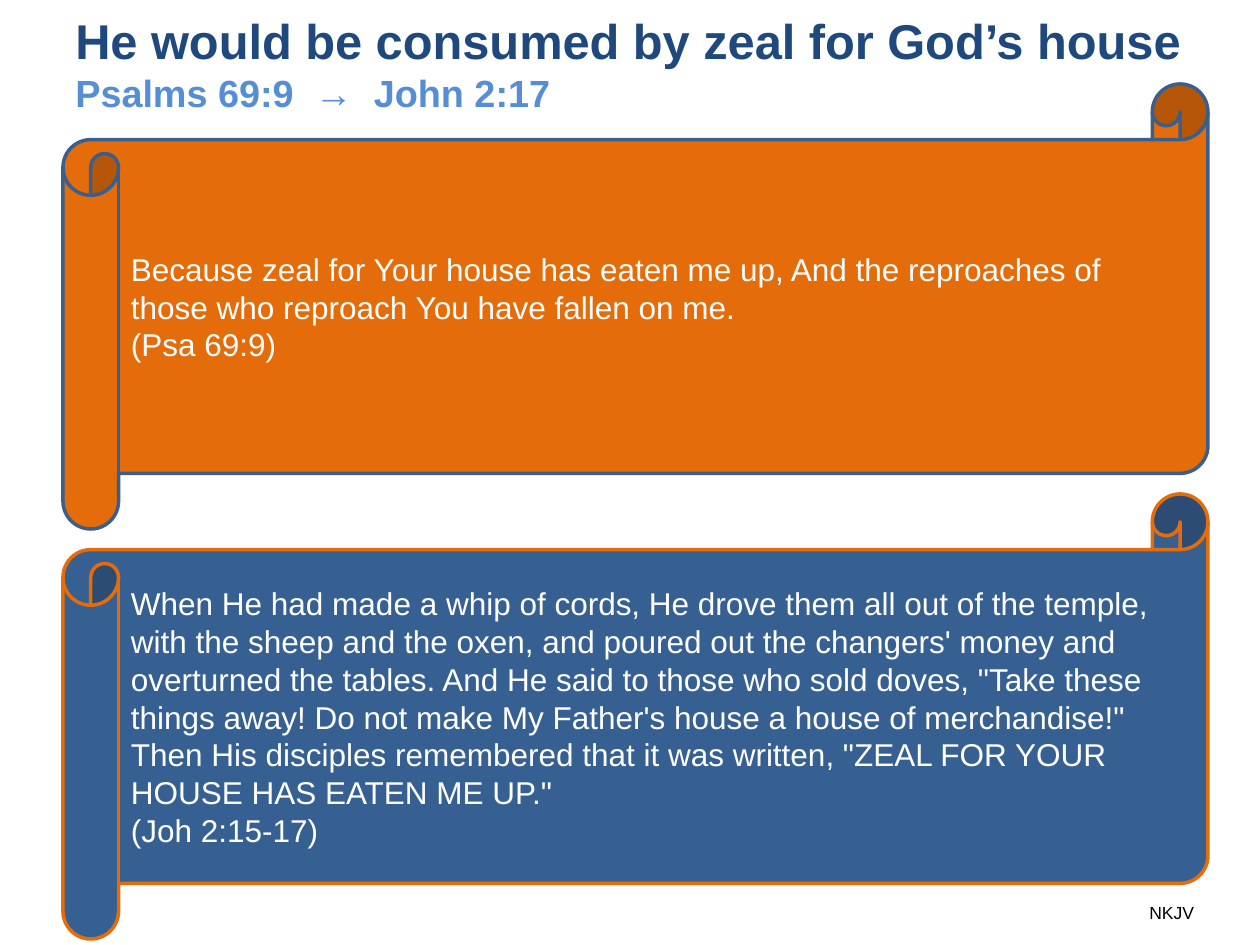
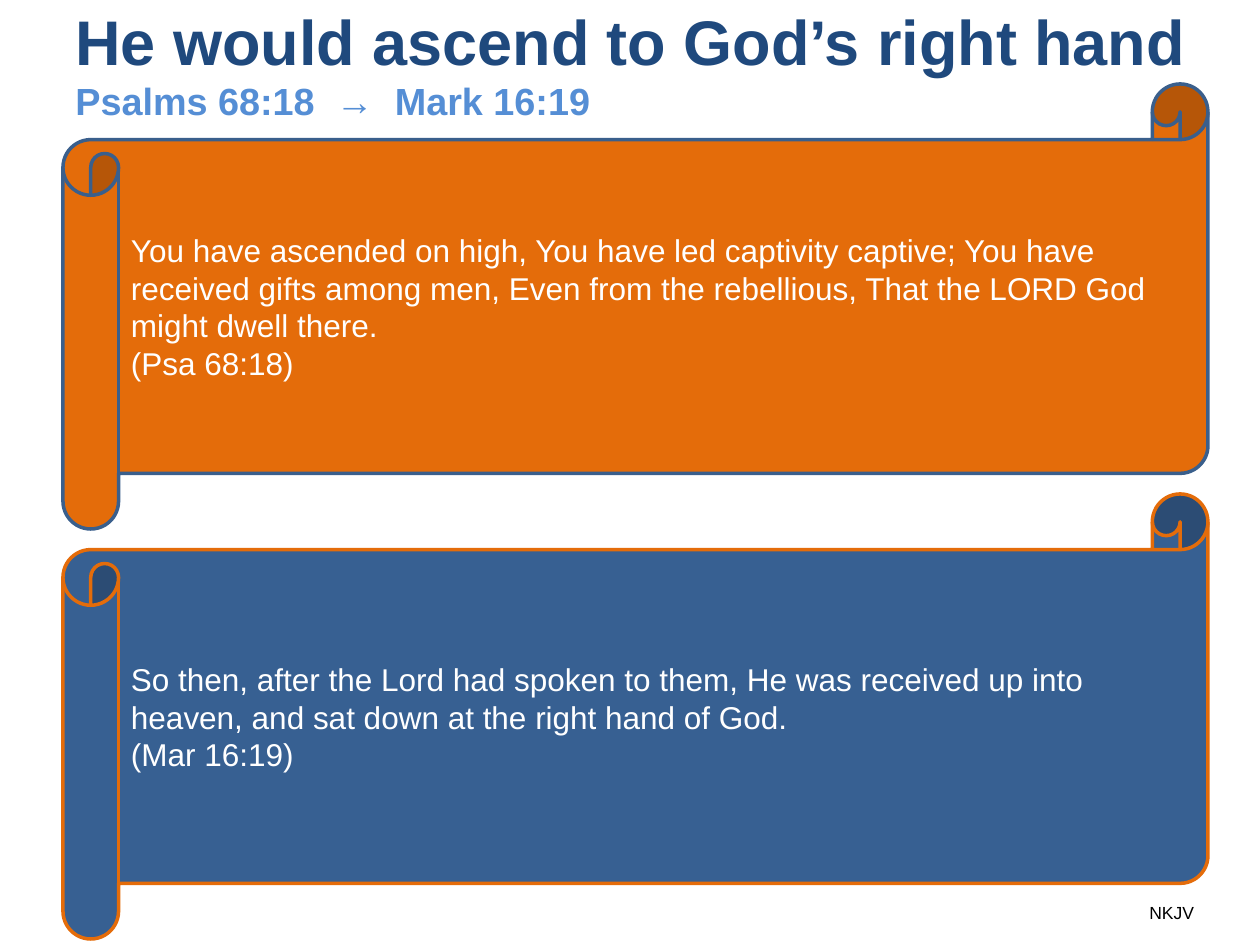
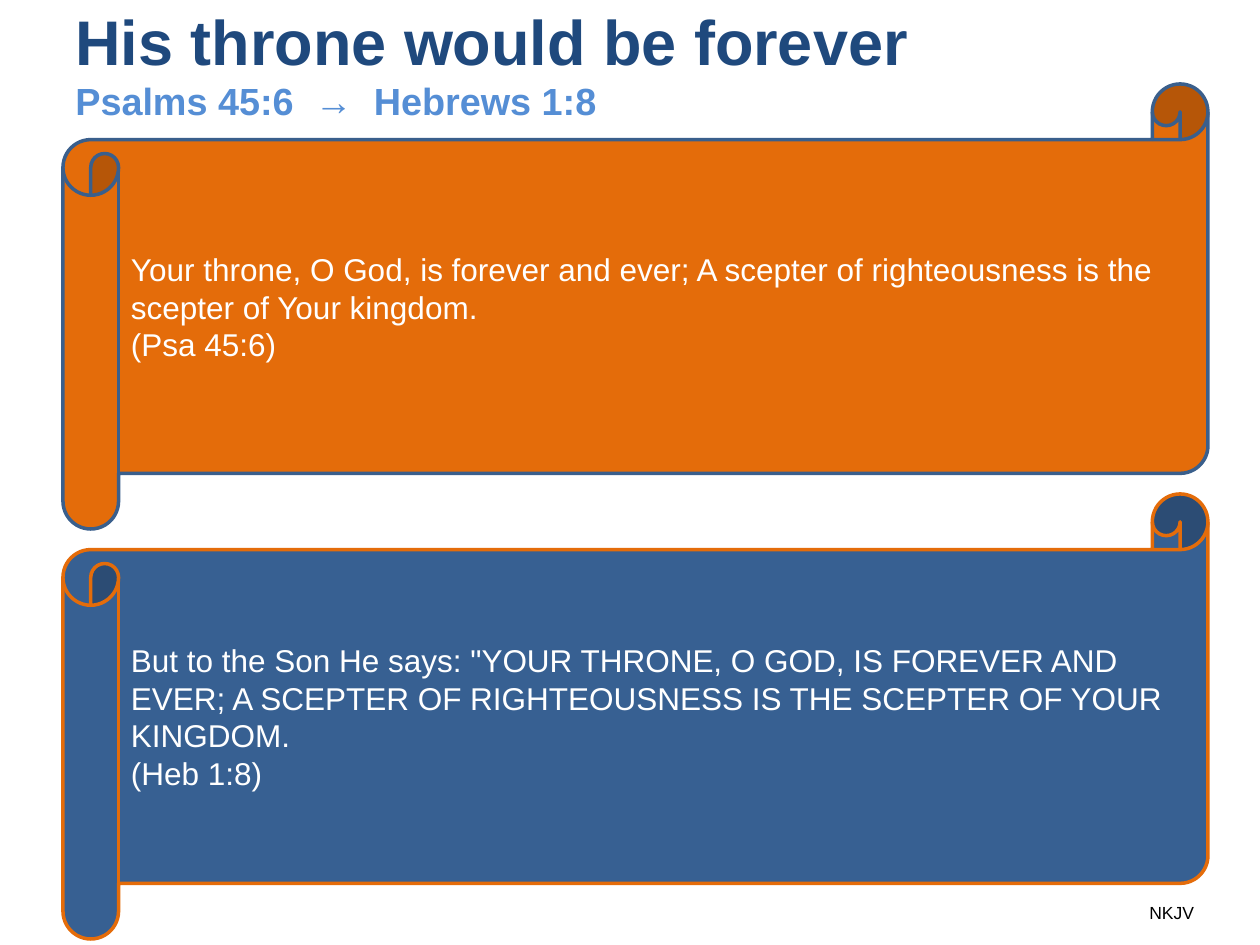
from dataclasses import dataclass

from pptx import Presentation
from pptx import util as u
from pptx.dml.color import RGBColor
from pptx.enum import shapes, text

PX = 914400 / 126
FONT = "Arial"
NAVY, SKY, BLUE, EDGE = "1F497D", "558ED5", "376092", "3A5F8C"
ORANGE, WHITE, BLACK = "E46C0A", "FFFFFF", "000000"
LEFT = 63


@dataclass
class Verse:
    words: str
    ref: str


@dataclass
class Page:
    title: str
    size: float
    width: int
    source: str
    target: str
    old: Verse
    new: Verse


@dataclass
class Look:
    top: int
    fill: str
    line: str


OLD = Look(84, ORANGE, EDGE)
NEW = Look(494, BLUE, ORANGE)

PAGES = [
    Page(
        "He would be consumed by zeal for God’s house", 27.9, 1187,
        "Psalms 69:9", "John 2:17",
        Verse("Because zeal for Your house has eaten me up, And the reproaches of "
              "those who reproach You have fallen on me.", "(Psa 69:9)"),
        Verse("When He had made a whip of cords, He drove them all out of the temple, "
              "with the sheep and the oxen, and poured out the changers' money and "
              "overturned the tables. And He said to those who sold doves, \"Take these "
              "things away! Do not make My Father's house a house of merchandise!\" "
              "Then His disciples remembered that it was written, \"ZEAL FOR YOUR "
              "HOUSE HAS EATEN ME UP.\"", "(Joh 2:15-17)"),
    ),
    Page(
        "He would ascend to God’s right hand", 36, 1166,
        "Psalms 68:18", "Mark 16:19",
        Verse("You have ascended on high, You have led captivity captive; You have "
              "received gifts among men, Even from the rebellious, That the LORD God "
              "might dwell there.", "(Psa 68:18)"),
        Verse("So then, after the Lord had spoken to them, He was received up into "
              "heaven, and sat down at the right hand of God.", "(Mar 16:19)"),
    ),
    Page(
        "His throne would be forever", 36, 1134,
        "Psalms 45:6", "Hebrews 1:8",
        Verse("Your throne, O God, is forever and ever; A scepter of righteousness is "
              "the scepter of Your kingdom.", "(Psa 45:6)"),
        Verse("But to the Son He says: \"YOUR THRONE, O GOD, IS FOREVER AND EVER; "
              "A SCEPTER OF RIGHTEOUSNESS IS THE SCEPTER OF YOUR KINGDOM.", "(Heb 1:8)"),
    ),
]


def px(count: int) -> int:
    return round(count * PX)


def paint(part, tone: str) -> None:
    part.rgb = RGBColor.from_string(tone)


def add_run(para, words: str, size: float, tone: str, bold: bool = False, gap: int = 0) -> None:
    run = para.add_run()
    run.text = words
    run.font.name = FONT
    run.font.size = u.Pt(size)
    run.font.bold = bold
    paint(run.font.color, tone)
    if gap:
        run._r.get_or_add_rPr().set("spc", str(gap))


def add_title(slide, page: Page) -> None:
    box = slide.shapes.add_textbox(px(LEFT), 0, px(page.width), px(126))
    frame = box.text_frame
    frame.word_wrap = True
    frame.vertical_anchor = text.MSO_ANCHOR.MIDDLE
    para = frame.paragraphs[0]
    add_run(para, page.title, page.size, NAVY, True)
    para.add_line_break()
    for words in (page.source, " ", "→", " ", page.target):
        add_run(para, words, 21.6, SKY, True, 600 if words == " " else 0)


def add_scroll(slide, look: Look, verse: Verse) -> None:
    scroll = slide.shapes.add_shape(
        shapes.MSO_SHAPE.HORIZONTAL_SCROLL, px(LEFT), px(look.top), px(1145), px(445))
    scroll.shadow.inherit = False
    scroll.fill.solid()
    paint(scroll.fill.fore_color, look.fill)
    paint(scroll.line.color, look.line)
    scroll.line.width = u.Pt(2)
    frame = scroll.text_frame
    frame.word_wrap = True
    frame.vertical_anchor = text.MSO_ANCHOR.MIDDLE
    for para, words in ((frame.paragraphs[0], verse.words), (frame.add_paragraph(), verse.ref)):
        para.alignment = text.PP_ALIGN.LEFT
        add_run(para, words, 18, WHITE)


def add_mark(slide) -> None:
    box = slide.shapes.add_textbox(px(1137), px(896), px(71), px(34))
    box.text_frame.word_wrap = False
    box.text_frame.auto_size = text.MSO_AUTO_SIZE.SHAPE_TO_FIT_TEXT
    add_run(box.text_frame.paragraphs[0], "NKJV", 10, BLACK)


def main() -> None:
    """Build the deck of prophecies and their fulfilments."""
    deck = Presentation()
    deck.slide_width, deck.slide_height = px(1260), px(945)
    for page in PAGES:
        slide = deck.slides.add_slide(deck.slide_layouts[6])
        add_title(slide, page)
        add_scroll(slide, OLD, page.old)
        add_scroll(slide, NEW, page.new)
        add_mark(slide)
    deck.save("out.pptx")


if __name__ == "__main__":
    main()
